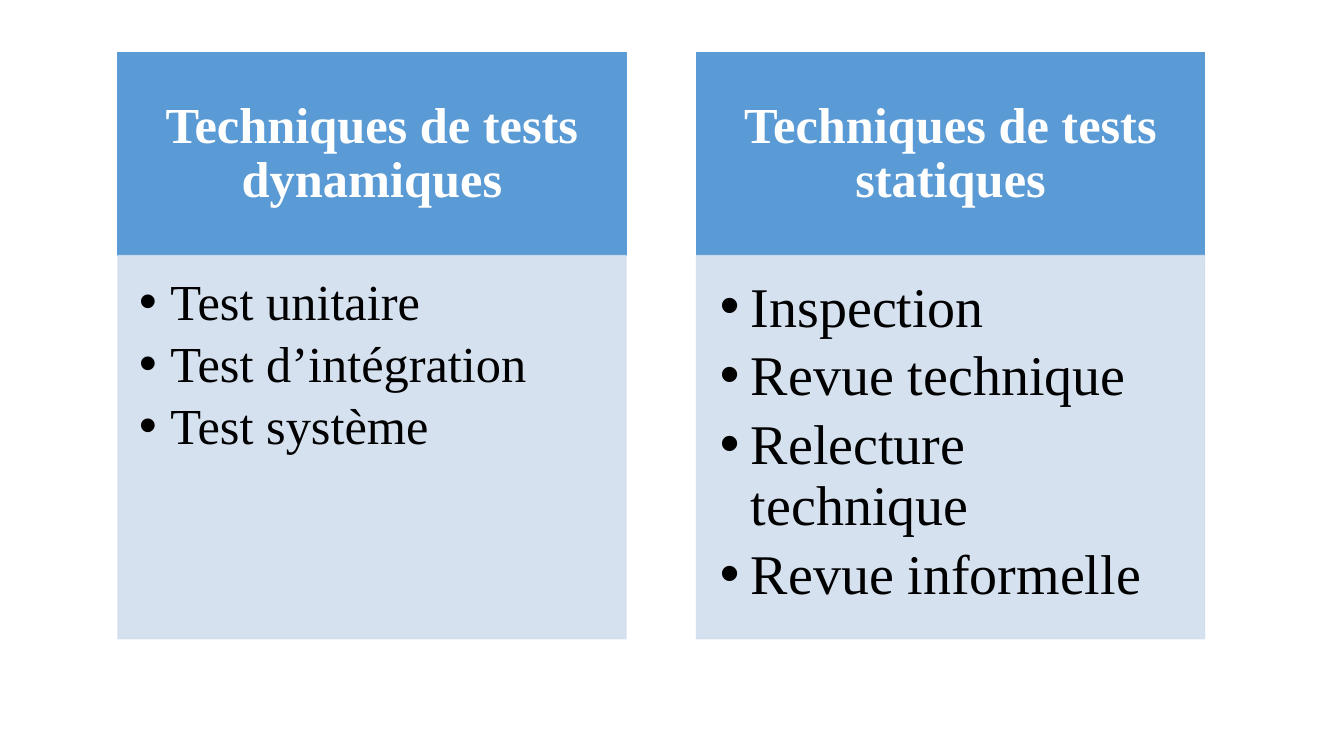
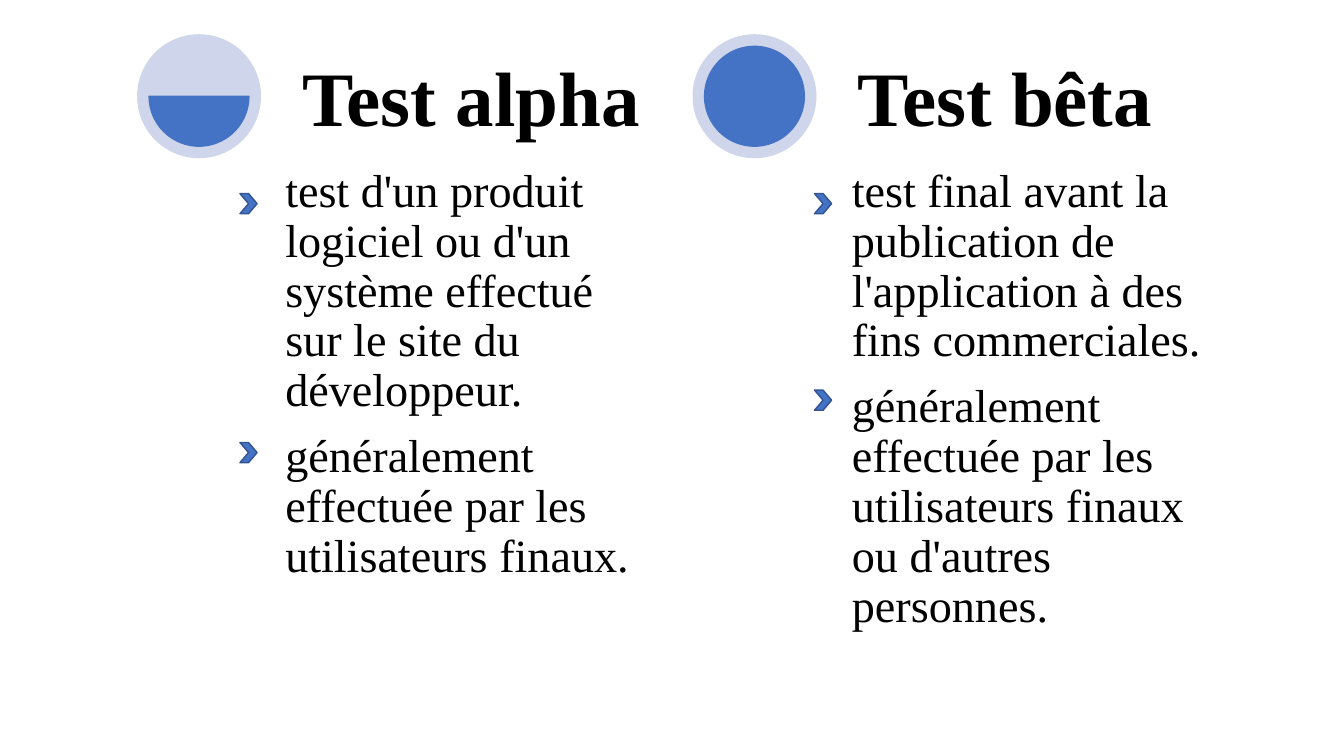
from dataclasses import dataclass

from lxml import etree
from pptx import Presentation
from pptx.dml.color import RGBColor
from pptx.enum.shapes import MSO_SHAPE
from pptx.enum.text import MSO_ANCHOR, PP_ALIGN
from pptx.oxml.ns import qn
from pptx.shapes.autoshape import Shape
from pptx.slide import Slide
from pptx.util import Inches, Length, Pt

RECT, OVAL = MSO_SHAPE.RECTANGLE, MSO_SHAPE.OVAL
CHORD, CHEVRON = MSO_SHAPE.CHORD, MSO_SHAPE.CHEVRON
TOP, MIDDLE, BOTTOM = MSO_ANCHOR.TOP, MSO_ANCHOR.MIDDLE, MSO_ANCHOR.BOTTOM
LEFT, CENTER = PP_ALIGN.LEFT, PP_ALIGN.CENTER

WIDTH, HEIGHT = Inches(13.33), Inches(7.5)
BLANK_LAYOUT = 6
FONT = "Times New Roman"
BULLET_INDENT = Inches(0.31)
COLORS = {
    "header": "5B9BD5",
    "panel": "D2DEEF",
    "disc": "CFD5EA",
    "accent": "4472C4",
    "accent_edge": "325491",
    "light": "FFFFFF",
    "dark": "000000",
}


@dataclass(frozen=True)
class Box:
    """A frame in percent of the slide's width and height."""

    left: float
    top: float
    width: float
    height: float

    def emu(self) -> tuple[Length, ...]:
        """Return left, top, width and height as lengths."""
        pairs = ((self.left, WIDTH), (self.top, HEIGHT),
                 (self.width, WIDTH), (self.height, HEIGHT))
        return tuple(Length(round(share * full / 100)) for share, full in pairs)


@dataclass(frozen=True)
class TextStyle:
    """Format of a text frame; insets are left, top, right, bottom in inches."""

    size: float
    insets: tuple[float, float, float, float]
    color: str = "dark"
    bold: bool = False
    align: PP_ALIGN = LEFT
    anchor: MSO_ANCHOR = TOP
    gap: float = 0.35
    bullet: bool = False


@dataclass(frozen=True)
class Panel:
    """A headed list of test techniques."""

    title: str
    items: tuple[str, ...]
    style: TextStyle


@dataclass(frozen=True)
class Phase:
    """A test phase with a filled disc and marked statements."""

    title: str
    items: tuple[str, ...]
    chord: tuple[float, float]
    outset: float
    marker_left: float
    marker_tops: tuple[float, ...]


HEADER_STYLE = TextStyle(36, (0.28, 0.16, 0.28, 0.16), "light", True, CENTER, MIDDLE)
PHASE_TITLE_STYLE = TextStyle(55, (0.15,) * 4, bold=True, anchor=BOTTOM)
PHASE_TEXT_STYLE = TextStyle(33, (0.09,) * 4)

PANEL_HEADER = Box(8.78, 6.93, 37.8, 26.87)
PANEL_BODY_HEIGHT, PANEL_PITCH = 50.67, 43.05
PANELS = (
    Panel("Techniques de tests dynamiques",
          ("Test unitaire", "Test d’intégration", "Test système"),
          TextStyle(36, (0.21, 0.21, 0.28, 0.32), gap=0.15, bullet=True)),
    Panel("Techniques de tests statiques",
          ("Inspection", "Revue technique", "Relecture technique", "Revue informelle"),
          TextStyle(40, (0.23, 0.23, 0.31, 0.35), gap=0.15, bullet=True)),
)

DISC = Box(10.2, 4.53, 9.22, 16.4)
DISC_RIM = (0.9, 1.6)
PHASE_PITCH, PHASE_TEXT_OFFSET, PHASE_TEXT_WIDTH = 41.33, 11.18, 27.38
PHASE_TEXT_HEIGHT = 69.33
MARKER_SIZE = (1.28, 2.67)
PHASES = (
    Phase("Test alpha",
          ("test d'un produit logiciel ou d'un système effectué sur le site du développeur.",
           "généralement effectuée par les utilisateurs finaux."),
          (0, 108), 0.83, 17.85, (25.6, 58.53)),
    Phase("Test bêta",
          ("test final avant la publication de l'application à des fins commerciales.",
           "généralement effectuée par les utilisateurs finaux ou d'autres personnes."),
          (162, 162), 0, 60.6, (25.6, 51.6)),
)


def rgb(name: str) -> RGBColor:
    """Look up a named colour."""
    return RGBColor.from_string(COLORS[name])


def apply(target: object, values: dict) -> None:
    """Set attributes from a dict of format values."""
    for name, value in values.items():
        setattr(target, name, value)


def add_shape(slide: Slide, kind: MSO_SHAPE, box: Box, fill: str,
              edge: str | None = None, opacity: int = 100) -> Shape:
    """Draw a flat preset shape, with a one-point edge if one is named."""
    sp = slide.shapes.add_shape(kind, *box.emu())
    sp.shadow.inherit = False
    sp.fill.solid()
    sp.fill.fore_color.rgb = rgb(fill)
    if edge:
        sp.line.color.rgb = rgb(edge)
        sp.line.width = Pt(1)
    else:
        sp.line.fill.background()
    if opacity < 100:
        for color in sp.element.spPr.iter(qn("a:srgbClr")):
            etree.SubElement(color, qn("a:alpha"), val=str(opacity * 1000))
    return sp


def write(sp: Shape, lines: tuple[str, ...], style: TextStyle) -> None:
    """Fill a shape's text frame, one paragraph per line."""
    tf = sp.text_frame
    sides = ("margin_left", "margin_top", "margin_right", "margin_bottom")
    apply(tf, dict(zip(sides, map(Inches, style.insets))))
    apply(tf, {"word_wrap": True, "vertical_anchor": style.anchor})
    for i, line in enumerate(lines):
        p = tf.add_paragraph() if i else tf.paragraphs[0]
        apply(p, {"alignment": style.align, "line_spacing": 0.9,
                  "space_before": Pt(0), "space_after": Pt(style.size * style.gap)})
        r = p.add_run()
        r.text = line
        apply(r.font, {"name": FONT, "size": Pt(style.size), "bold": style.bold})
        r.font.color.rgb = rgb(style.color)
        if style.bullet:
            add_bullet(p)


def add_bullet(p: object) -> None:
    """Give a paragraph a round bullet with a hanging indent."""
    p.level = 1
    props = p._p.get_or_add_pPr()
    props.set("marL", str(BULLET_INDENT))
    props.set("indent", str(-BULLET_INDENT))
    etree.SubElement(props, qn("a:buFont"), typeface="Arial")
    etree.SubElement(props, qn("a:buChar"), char="•")


def add_text(slide: Slide, box: Box, lines: tuple[str, ...], style: TextStyle) -> None:
    """Place a text box."""
    write(slide.shapes.add_textbox(*box.emu()), lines, style)


def draw_panel(slide: Slide, panel: Panel, column: int) -> None:
    """Draw a header block above its list block."""
    head = PANEL_HEADER
    left = head.left + column * PANEL_PITCH
    header = Box(left, head.top, head.width, head.height)
    body = Box(left, head.top + head.height, head.width, PANEL_BODY_HEIGHT)
    write(add_shape(slide, RECT, header, "header", "header"),
          (panel.title,), HEADER_STYLE)
    write(add_shape(slide, RECT, body, "panel", "panel", opacity=90),
          panel.items, panel.style)


def draw_phase(slide: Slide, phase: Phase, column: int) -> None:
    """Draw a phase's disc, title, statements and chevrons."""
    left = DISC.left + column * PHASE_PITCH
    rim_x, rim_y = DISC_RIM
    add_shape(slide, OVAL, Box(left, DISC.top, DISC.width, DISC.height), "disc")
    core = Box(left + rim_x, DISC.top + rim_y,
               DISC.width - 2 * rim_x, DISC.height - 2 * rim_y)
    sp = add_shape(slide, CHORD, core, "accent", "accent")
    for i, angle in enumerate(phase.chord):
        sp.adjustments[i] = angle

    text_left = left + PHASE_TEXT_OFFSET
    title = Box(text_left, DISC.top, PHASE_TEXT_WIDTH, DISC.height)
    body = Box(text_left - phase.outset, DISC.top + DISC.height,
               PHASE_TEXT_WIDTH + 2 * phase.outset, PHASE_TEXT_HEIGHT)
    add_text(slide, body, phase.items, PHASE_TEXT_STYLE)
    add_text(slide, title, (phase.title,), PHASE_TITLE_STYLE)
    for top in phase.marker_tops:
        add_shape(slide, CHEVRON, Box(phase.marker_left, top, *MARKER_SIZE),
                  "accent", "accent_edge")


def main() -> None:
    """Build and save the two slides."""
    prs = Presentation()
    apply(prs, {"slide_width": WIDTH, "slide_height": HEIGHT})
    for draw, entries in ((draw_panel, PANELS), (draw_phase, PHASES)):
        slide = prs.slides.add_slide(prs.slide_layouts[BLANK_LAYOUT])
        for column, entry in enumerate(entries):
            draw(slide, entry, column)
    prs.save("out.pptx")


main()
